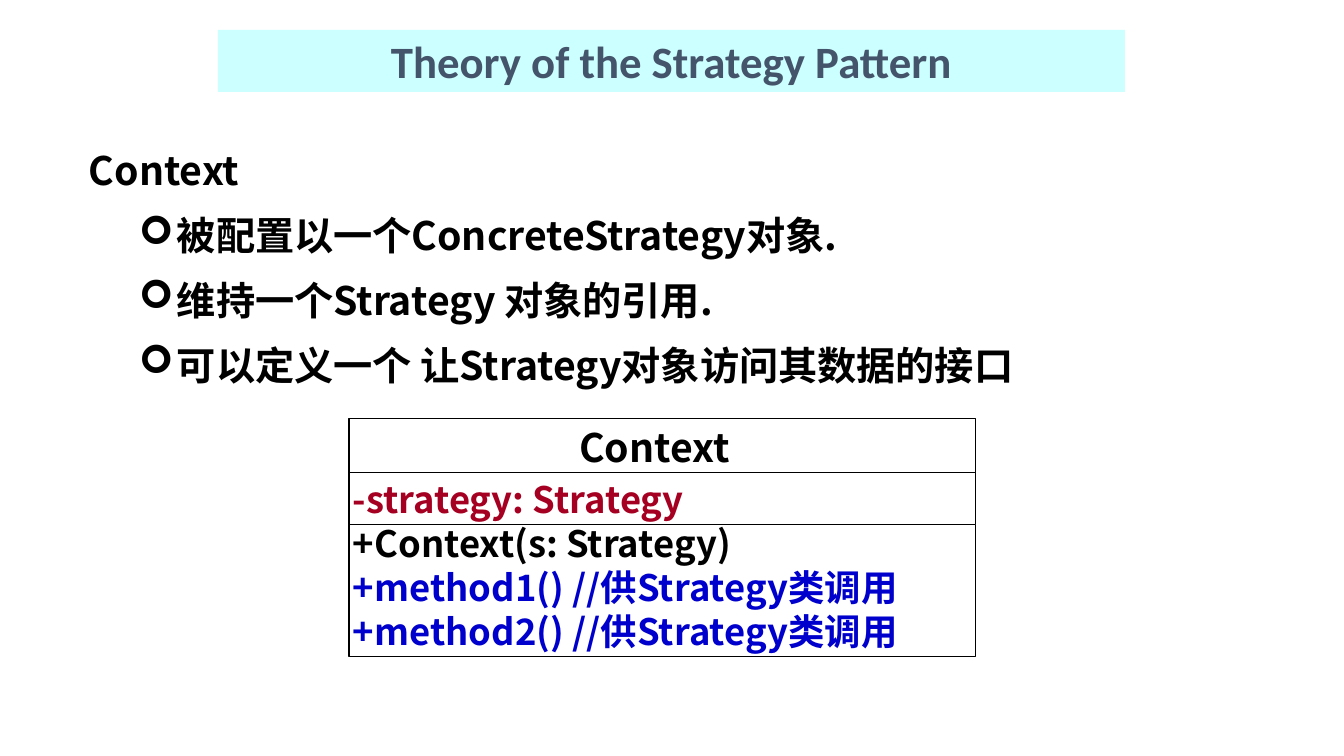
from dataclasses import dataclass

from lxml.etree import SubElement
from pptx import Presentation
from pptx.dml.color import RGBColor
from pptx.enum.shapes import MSO_SHAPE as Shape
from pptx.enum.text import MSO_ANCHOR as Anchor, PP_ALIGN as Align
from pptx.oxml.ns import qn
from pptx.util import Emu, Pt

EMU_PER_PX = 914400 / 100.8


def px(length):
    return Emu(round(length * EMU_PER_PX))


@dataclass(frozen=True)
class Theme:
    title_font: str = "Calibri"
    body_font: str = "Noto Sans CJK SC"
    white: str = "FFFFFF"
    black: str = "000000"
    banner: str = "CCFFFF"
    title: str = "44546A"
    field: str = "A50021"
    method: str = "0000CC"
    title_size: int = 32
    body_size: int = 28
    member_size: int = 26


def write_text(paragraph, text, *, font, size, color, align=Align.LEFT):
    """Add one bold run, with the font set for Latin and East Asian text."""
    paragraph.alignment = align
    run = paragraph.add_run()
    run.text = text
    run.font.name = font
    run.font.size = Pt(size)
    run.font.bold = True
    run.font.color.rgb = RGBColor.from_string(color)
    properties = run.font._element
    latin = properties.find(qn("a:latin"))
    east_asian = SubElement(properties, qn("a:ea"), typeface=font)
    latin.addnext(east_asian)


def indent(paragraph, left, hanging, bullet=None):
    properties = paragraph._p.get_or_add_pPr()
    properties.set("marL", str(px(left)))
    properties.set("indent", str(-px(hanging)))
    if bullet:
        SubElement(properties, qn("a:buFont"), typeface="Wingdings")
        SubElement(properties, qn("a:buChar"), char=bullet)
    else:
        SubElement(properties, qn("a:buNone"))


class SlideBuilder:
    def __init__(self, presentation, theme):
        self.theme = theme
        self.slide = presentation.slides.add_slide(presentation.slide_layouts[6])

    def rectangle(self, left, top, width, height, fill, line=None):
        """Draw a plain rectangle and return its text frame."""
        shape = self.slide.shapes.add_shape(
            Shape.RECTANGLE, px(left), px(top), px(width), px(height))
        shape.shadow.inherit = False
        shape.fill.solid()
        shape.fill.fore_color.rgb = RGBColor.from_string(fill)
        if line:
            shape.line.color.rgb = RGBColor.from_string(line)
            shape.line.width = Pt(0.75)
        else:
            shape.line.fill.background()
        frame = shape.text_frame
        frame.word_wrap = True
        frame.vertical_anchor = Anchor.MIDDLE
        return frame

    def title(self, text, left, top, width, height):
        theme = self.theme
        frame = self.rectangle(left, top, width, height, theme.banner)
        write_text(frame.paragraphs[0], text, font=theme.title_font,
                   size=theme.title_size, color=theme.title, align=Align.CENTER)

    def bullet_list(self, heading, items, left, top, width, height):
        theme = self.theme
        box = self.slide.shapes.add_textbox(px(left), px(top), px(width), px(height))
        frame = box.text_frame
        frame.word_wrap = True
        for index, text in enumerate([heading, *items]):
            paragraph = frame.add_paragraph() if index else frame.paragraphs[0]
            if index:
                paragraph.level = 1
                paragraph.space_before = Pt(6)
                indent(paragraph, 88, 38, "➢")
            else:
                indent(paragraph, 38, 38)
            paragraph.line_spacing = 1.2
            write_text(paragraph, text, font=theme.body_font,
                       size=theme.body_size, color=theme.black)

    def class_section(self, lines, left, top, width, height, size,
                      align=Align.LEFT, right_inset=0):
        """Draw one compartment of a class box from (text, colour) lines."""
        theme = self.theme
        frame = self.rectangle(left, top, width, height, theme.white, theme.black)
        frame.margin_left = frame.margin_top = frame.margin_bottom = px(4)
        frame.margin_right = px(right_inset)
        for index, (text, color) in enumerate(lines):
            paragraph = frame.add_paragraph() if index else frame.paragraphs[0]
            write_text(paragraph, text, font=theme.body_font, size=size,
                       color=color, align=align)


def main():
    presentation = Presentation()
    presentation.slide_width = px(1344)
    presentation.slide_height = px(756)
    theme = Theme()
    builder = SlideBuilder(presentation, theme)

    class_left, class_width = 349, 627
    builder.class_section([("Context", theme.black)], class_left, 419, class_width, 55,
                          theme.body_size, Align.CENTER, right_inset=20)
    builder.class_section([("+Context(s: Strategy)", theme.black),
                           ("+method1() //供Strategy类调用", theme.method),
                           ("+method2() //供Strategy类调用", theme.method)],
                          class_left, 517, class_width, 140, theme.member_size)
    builder.class_section([("-strategy: Strategy", theme.field)],
                          class_left, 473, class_width, 52, theme.member_size)
    builder.bullet_list("Context",
                        ["被配置以一个ConcreteStrategy对象.",
                         "维持一个Strategy 对象的引用.",
                         "可以定义一个 让Strategy对象访问其数据的接口"],
                        79, 132, 1190, 259)
    builder.title("Theory of the Strategy Pattern", 218, 30, 907, 62)
    presentation.save("out.pptx")


if __name__ == "__main__":
    main()
